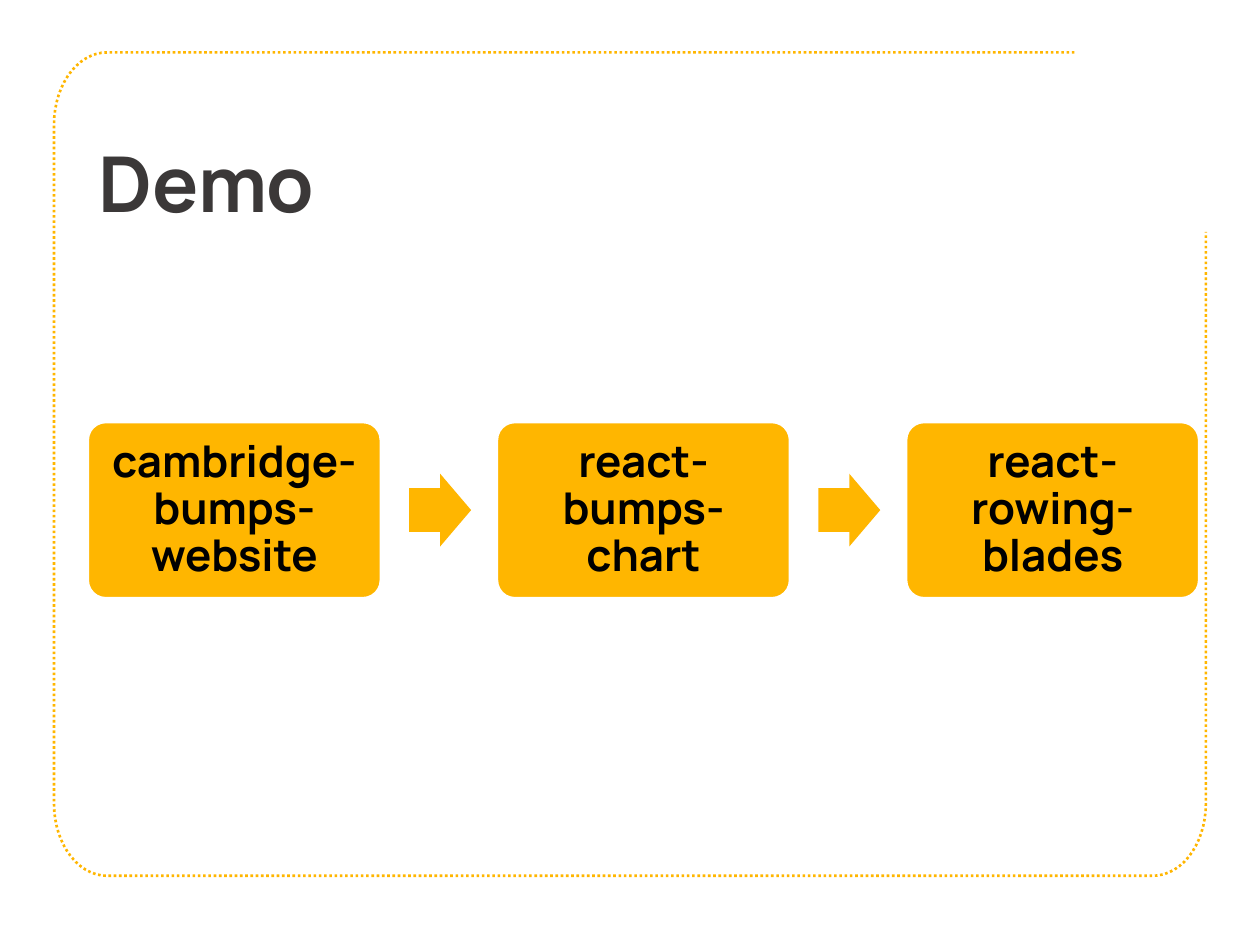
from math import cos, sin, radians
from pptx import Presentation
from pptx.util import Pt
from pptx.dml.color import RGBColor
from pptx.enum.dml import MSO_LINE as Dash
from pptx.enum.shapes import MSO_SHAPE as Kind
from pptx.enum.text import MSO_ANCHOR as Anchor, PP_ALIGN as Align

GOLD = "FFB600"


def color(code):
    return RGBColor.from_string(code)


def write(shape, text, size, ink, align=Align.LEFT, side=7.2, edge=7.2):
    frame = shape.text_frame
    frame.word_wrap = True
    frame.vertical_anchor = Anchor.MIDDLE
    frame.margin_left = frame.margin_right = Pt(side)
    frame.margin_top = frame.margin_bottom = Pt(edge)
    para = frame.paragraphs[0]
    para.alignment = align
    para.line_spacing = 0.9
    run = para.add_run()
    run.text = text
    font = run.font
    font.name, font.size, font.bold = "Manrope", Pt(size), True
    font.color.rgb = color(ink)


deck = Presentation()
deck.slide_width, deck.slide_height = Pt(720), Pt(540)
slide = deck.slides.add_slide(deck.slide_layouts[6])
shapes = slide.shapes

# Dotted frame, open at the top right, with elliptical corners
left, top, right, low = 30.9, 30, 689.1, 500.5
rx, ry = 30.3, 41.2
spots = [(614, top)]
for mid_x, mid_y, start in [
    (left + rx, top + ry, 270),
    (left + rx, low - ry, 180),
    (right - rx, low - ry, 90),
]:
    for step in range(16):
        turn = radians(start - step * 6)
        spots.append((mid_x + rx * cos(turn), mid_y + ry * sin(turn)))
spots.append((right, 132.5))
spots = [(Pt(x), Pt(y)) for x, y in spots]
path = shapes.build_freeform(*spots[0])
path.add_line_segments(spots[1:], close=False)
border = path.convert_to_shape()
border.shadow.inherit = False
border.fill.background()
border.line.color.rgb = color(GOLD)
border.line.width = Pt(1.5)
border.line.dash_style = Dash.ROUND_DOT

# Title
title = shapes.add_textbox(Pt(49.5), Pt(54.7), Pt(621), Pt(104.4))
write(title, "Demo", 44, "3B3838", edge=3.6)

# Row of boxes with an arrow in each gap
names = ["cambridge-bumps-website", "react-bumps-chart", "react-rowing-blades"]
first, pitch, center = 50.4, 233.8, 291.5
wide, tall = 167, 100.2
for i, name in enumerate(names):
    x = first + i * pitch
    box = shapes.add_shape(
        Kind.ROUNDED_RECTANGLE, Pt(x), Pt(center - tall / 2), Pt(wide), Pt(tall)
    )
    box.adjustments[0] = 0.1
    box.shadow.inherit = False
    box.fill.solid()
    box.fill.fore_color.rgb = color(GOLD)
    box.line.color.rgb = color("FFFFFF")
    box.line.width = Pt(1)
    write(box, name, 25, "000000", align=Align.CENTER)

    if i < len(names) - 1:
        arrow = shapes.add_shape(
            Kind.RIGHT_ARROW, Pt(x + 183.4), Pt(center - 20.8), Pt(35.4), Pt(41.6)
        )
        arrow.adjustments[0], arrow.adjustments[1] = 0.6, 0.5
        arrow.shadow.inherit = False
        arrow.fill.solid()
        arrow.fill.fore_color.rgb = color(GOLD)
        arrow.line.fill.background()

deck.save("out.pptx")
